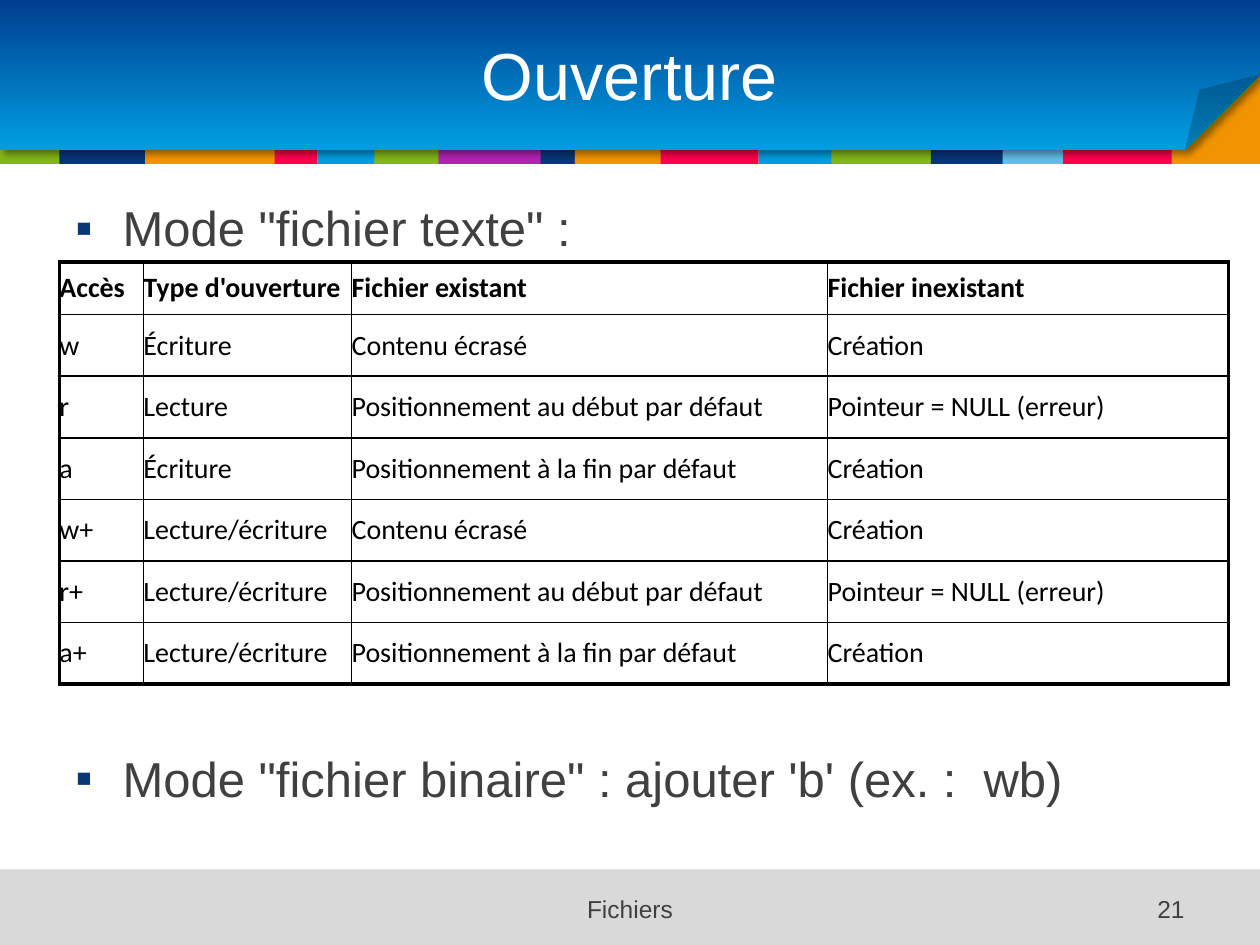
from lxml.etree import SubElement
from pptx import Presentation
from pptx.dml.color import RGBColor
from pptx.enum.shapes import MSO_SHAPE as Shape
from pptx.enum.text import MSO_ANCHOR as Anchor, PP_ALIGN as Align
from pptx.oxml.ns import qn
from pptx.util import Pt

COLORS = {
    "orange": "F29400", "green": "83B818", "navy": "073779", "red": "FF014B",
    "cyan": "009EE0", "purple": "B523B4", "sky": "62BCE9", "deep": "003E90",
    "grey": "D9D9D9", "text": "404040", "white": "FFFFFF", "black": "000000",
}

# Left edge, width and colour of each strip under the banner
STRIPS = [
    (0, 36.5, "green"), (34, 49.5, "navy"), (83, 79, "orange"),
    (157, 24.5, "red"), (181.5, 51, "cyan"), (239, 72.5, "purple"),
    (309, 20, "navy"), (328.5, 51, "orange"), (377.5, 56, "red"),
    (433.5, 44, "cyan"), (475, 65.5, "green"), (532, 42, "navy"),
    (573, 36, "sky"), (607.5, 62, "red"), (214, 36.5, "green"),
]

COLUMN_WIDTHS = [48, 119, 272, 229]
HEADER_HEIGHT, ROW_HEIGHT = 30, 35.2
MODES = [
    ("Accès", "Type d'ouverture", "Fichier existant", "Fichier inexistant"),
    ("w", "Écriture", "Contenu écrasé", "Création"),
    ("r", "Lecture", "Positionnement au début par défaut", "Pointeur = NULL (erreur)"),
    ("a", "Écriture", "Positionnement à la fin par défaut", "Création"),
    ("w+", "Lecture/écriture", "Contenu écrasé", "Création"),
    ("r+", "Lecture/écriture", "Positionnement au début par défaut", "Pointeur = NULL (erreur)"),
    ("a+", "Lecture/écriture", "Positionnement à la fin par défaut", "Création"),
]


def rgb(name):
    return RGBColor.from_string(COLORS[name])


def add_block(slide, left, top, width, height, color, kind=Shape.RECTANGLE):
    shape = slide.shapes.add_shape(kind, Pt(left), Pt(top), Pt(width), Pt(height))
    shape.shadow.inherit = False
    shape.fill.solid()
    shape.fill.fore_color.rgb = rgb(color)
    shape.line.fill.background()
    return shape


def add_banner(slide):
    banner = add_block(slide, 0, 0, 720, 85.7, "cyan", Shape.FOLDED_CORNER)
    properties = banner._element.spPr
    # Fold half the banner's height
    geometry = properties.find(qn("a:prstGeom"))
    SubElement(geometry.get_or_add_avLst(), qn("a:gd"), name="adj", fmla="val 50000")
    banner.fill.gradient()
    banner.fill.gradient_angle = 90
    for stop, color in zip(banner.fill.gradient_stops, ("cyan", "deep")):
        stop.color.rgb = rgb(color)
    # Soft shadow towards the lower right
    effects = properties.find(qn("a:effectLst"))
    shadow = SubElement(effects, qn("a:outerShdw"), blurRad=str(Pt(4)),
                        dist=str(Pt(3)), dir="2700000", algn="tl", rotWithShape="0")
    color = SubElement(shadow, qn("a:srgbClr"), val=COLORS["black"])
    SubElement(color, qn("a:alpha"), val="40000")


def format_run(paragraph, size, color, font="Arial", bold=False):
    run_font = paragraph.runs[0].font
    run_font.name, run_font.size, run_font.bold = font, Pt(size), bold
    run_font.color.rgb = rgb(color)


def add_text(slide, left, top, width, height, text, size, color="text",
             align=Align.LEFT, anchor=Anchor.MIDDLE):
    box = slide.shapes.add_textbox(Pt(left), Pt(top), Pt(width), Pt(height))
    frame = box.text_frame
    frame.word_wrap = True
    frame.vertical_anchor = anchor
    frame.text = text
    paragraph = frame.paragraphs[0]
    paragraph.alignment = align
    format_run(paragraph, size, color)
    return paragraph


def add_bullet(slide, top, text):
    paragraph = add_text(slide, 36, top, 648, 40, text, 28, anchor=Anchor.TOP)
    properties = paragraph._p.get_or_add_pPr()
    properties.set("marL", str(Pt(27)))
    properties.set("indent", str(-Pt(27)))
    color = SubElement(properties, qn("a:buClr"))
    SubElement(color, qn("a:srgbClr"), val=COLORS["navy"])
    SubElement(properties, qn("a:buFont"), typeface="Arial")
    SubElement(properties, qn("a:buChar"), char="▪")


def set_borders(cell, outer_sides):
    properties = cell._tc.get_or_add_tcPr()
    for index, (side, outer) in enumerate(zip("LRTB", outer_sides)):
        line = properties.makeelement(qn(f"a:ln{side}"), {"w": str(Pt(2.25 if outer else 1))})
        fill = SubElement(line, qn("a:solidFill"))
        SubElement(fill, qn("a:srgbClr"), val=COLORS["black"])
        properties.insert(index, line)


def add_mode_table(slide):
    last_row, last_column = len(MODES) - 1, len(COLUMN_WIDTHS) - 1
    height = HEADER_HEIGHT + last_row * ROW_HEIGHT
    table = slide.shapes.add_table(len(MODES), len(COLUMN_WIDTHS), Pt(34), Pt(149.8),
                                   Pt(sum(COLUMN_WIDTHS)), Pt(height)).table
    table.first_row = table.horz_banding = False
    for column, width in zip(table.columns, COLUMN_WIDTHS):
        column.width = Pt(width)
    for r, values in enumerate(MODES):
        table.rows[r].height = Pt(ROW_HEIGHT if r else HEADER_HEIGHT)
        for c, value in enumerate(values):
            cell = table.cell(r, c)
            cell.text = value
            cell.margin_left = cell.margin_right = 0
            cell.margin_top = cell.margin_bottom = 0
            cell.vertical_anchor = Anchor.MIDDLE
            cell.fill.background()
            format_run(cell.text_frame.paragraphs[0], 16, "black", "Calibri", bold=r == 0)
            set_borders(cell, (c == 0, c == last_column, r == 0, r == last_row))


def main():
    presentation = Presentation()
    presentation.slide_width, presentation.slide_height = Pt(720), Pt(540)
    slide = presentation.slides.add_slide(presentation.slide_layouts[6])

    # Header: coloured strips below a folded banner
    add_block(slide, 663, 34, 57, 59.6, "orange")
    for left, width, color in STRIPS:
        add_block(slide, left, 58.3, width, 35.3, color)
    add_banner(slide)
    add_text(slide, 36, 5, 648, 74, "Ouverture", 38, "white", Align.CENTER)

    # Body
    add_bullet(slide, 109.5, "Mode \"fichier texte\" :")
    add_mode_table(slide)
    add_bullet(slide, 424, "Mode \"fichier binaire\" : ajouter 'b' (ex. :  wb)")

    # Footer
    add_block(slide, 0, 496.8, 720, 43.2, "grey")
    add_text(slide, 184.5, 506, 351, 27, "Fichiers", 14, align=Align.CENTER)
    add_text(slide, 599, 506, 85, 27, "21", 14, align=Align.RIGHT)

    presentation.save("out.pptx")


if __name__ == "__main__":
    main()
